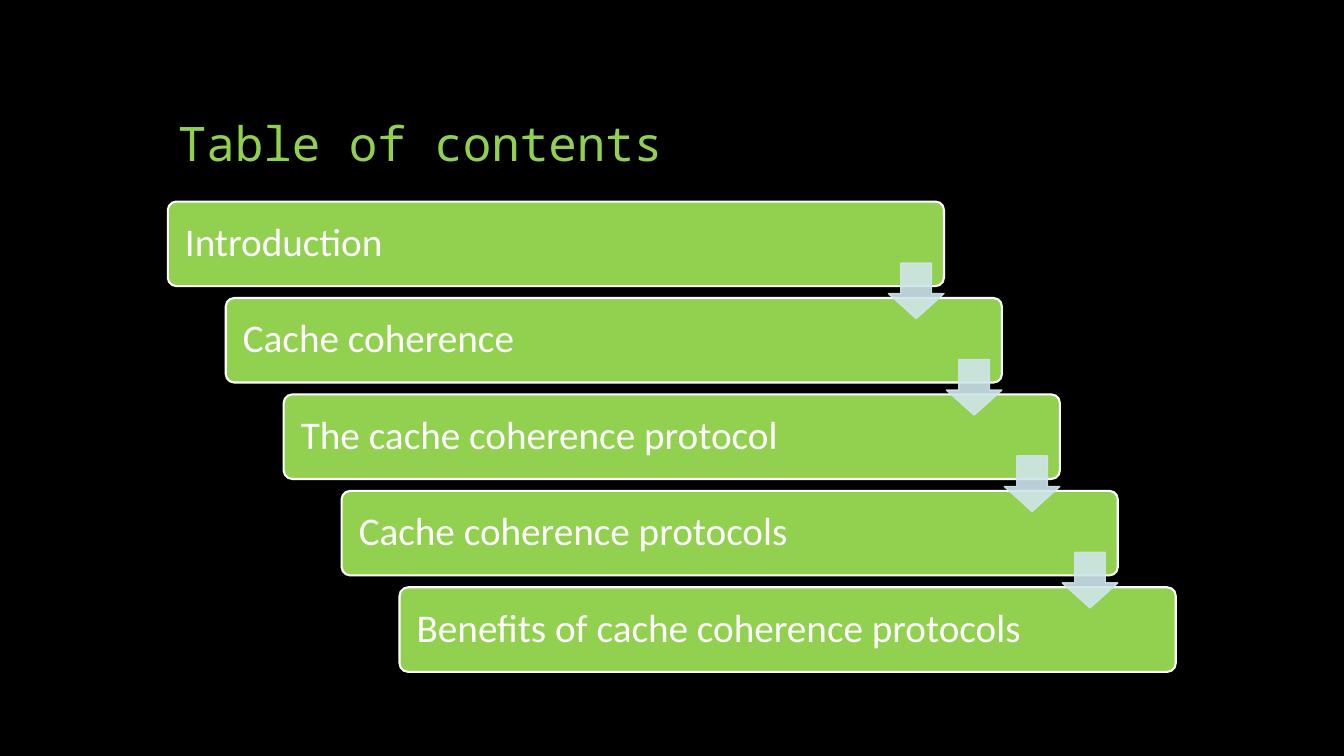
import pptx
import pptx.dml.color
import pptx.enum.shapes
import pptx.enum.text
import pptx.oxml.ns
import pptx.util
from dataclasses import dataclass
from lxml import etree
from pptx.util import Cm

# Content
HEADING = "Table of contents"
TOPICS = [
    "Introduction",
    "Cache coherence",
    "The cache coherence protocol",
    "Cache coherence protocols",
    "Benefits of cache coherence protocols",
]


@dataclass(frozen=True)
class Theme:
    background: str = "000000"
    green: str = "92D050"
    white: str = "FFFFFF"
    pale_blue: str = "CFE6EB"
    arrow_opacity: int = 90
    heading_font: str = "Noto Sans Mono"
    topic_font: str = "Calibri"
    heading_size: int = 34
    topic_size: int = 28


THEME = Theme()

# Layout in centimetres
SLIDE_W, SLIDE_H = 33.87, 19.05
HEADING_BOX = (4.23, 1.27, 25.4, 3.18)
CARD_LEFT, CARD_TOP, CARD_W, CARD_H = 4.23, 5.08, 19.56, 2.13
STEP_X, STEP_Y = 1.46, 2.43
ARROW_SIZE, ARROW_DROP = 1.4, 1.55


def rgb(color):
    return pptx.dml.color.RGBColor.from_string(color)


def write_text(holder, text, *, font, size, color, anchor, inset):
    frame = holder.text_frame
    frame.word_wrap = True
    frame.auto_size = pptx.enum.text.MSO_AUTO_SIZE.NONE
    frame.vertical_anchor = anchor
    frame.margin_left = frame.margin_right = Cm(inset)
    line = frame.paragraphs[0]
    line.alignment = pptx.enum.text.PP_ALIGN.LEFT
    line.line_spacing = 0.9
    run = line.add_run()
    run.text = text
    run.font.name = font
    run.font.size = pptx.util.Pt(size)
    run.font.color.rgb = rgb(color)


def add_block(slide, kind, box, *, fill, outline, width, adjustments, opacity=100):
    block = slide.shapes.add_shape(kind, *map(Cm, box))
    block.shadow.inherit = False
    block.fill.solid()
    block.fill.fore_color.rgb = rgb(fill)
    block.line.color.rgb = rgb(outline)
    block.line.width = pptx.util.Pt(width)
    for index, value in enumerate(adjustments):
        block.adjustments[index] = value
    if opacity < 100:
        for color in block._element.spPr.iter(pptx.oxml.ns.qn("a:srgbClr")):
            alpha = etree.SubElement(color, pptx.oxml.ns.qn("a:alpha"))
            alpha.set("val", str(opacity * 1000))
    return block


def main():
    deck = pptx.Presentation()
    deck.slide_width, deck.slide_height = Cm(SLIDE_W), Cm(SLIDE_H)
    slide = deck.slides.add_slide(deck.slide_layouts[5])
    slide.background.fill.solid()
    slide.background.fill.fore_color.rgb = rgb(THEME.background)

    # Heading
    heading = slide.shapes.title
    heading.left, heading.top, heading.width, heading.height = map(Cm, HEADING_BOX)
    write_text(heading, HEADING, font=THEME.heading_font, size=THEME.heading_size,
               color=THEME.green, anchor=pptx.enum.text.MSO_ANCHOR.BOTTOM, inset=0.25)

    # Staircase of topics
    corners = [(CARD_LEFT + i * STEP_X, CARD_TOP + i * STEP_Y) for i in range(len(TOPICS))]
    for topic, (left, top) in zip(TOPICS, corners):
        card = add_block(slide, pptx.enum.shapes.MSO_SHAPE.ROUNDED_RECTANGLE,
                         (left, top, CARD_W, CARD_H), fill=THEME.green,
                         outline=THEME.white, width=1.5, adjustments=[0.1])
        write_text(card, topic, font=THEME.topic_font, size=THEME.topic_size,
                   color=THEME.white, anchor=pptx.enum.text.MSO_ANCHOR.MIDDLE, inset=0.37)

    # Arrows from each topic to the next, flush with the card's right edge
    for left, top in corners[:-1]:
        add_block(slide, pptx.enum.shapes.MSO_SHAPE.DOWN_ARROW,
                  (left + CARD_W - ARROW_SIZE, top + ARROW_DROP, ARROW_SIZE, ARROW_SIZE),
                  fill=THEME.pale_blue, outline=THEME.pale_blue, width=1,
                  adjustments=[0.55, 0.45], opacity=THEME.arrow_opacity)

    deck.save("out.pptx")


if __name__ == "__main__":
    main()
